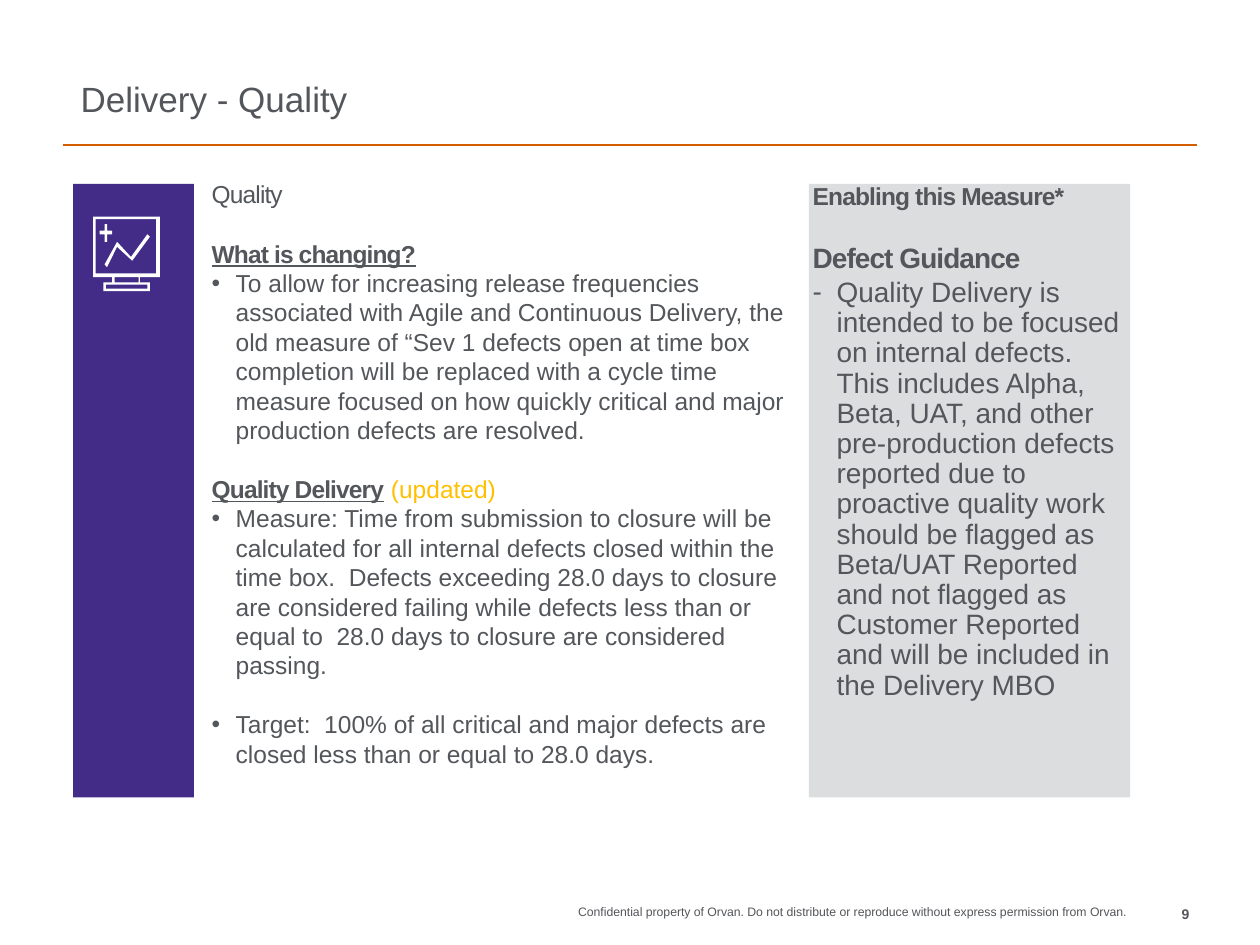
from dataclasses import dataclass
from typing import Any

from lxml import etree
from pptx import Presentation
from pptx.dml import color
from pptx.enum import shapes, text
from pptx.oxml import ns
from pptx.util import Inches, Pt

COLORS = {"text": "53565A", "rule": "D45D00", "purple": "422C88",
          "panel": "DCDDDF", "updated": "FFC000", "white": "FFFFFF"}
FONT = "Arial"
HANG = 0.19
Point = tuple[int, int]


@dataclass(frozen=True)
class Run:
    text: str
    size: float = 14
    bold: bool = False
    underline: bool = False
    color: str = "text"
    tracking: float = 0


@dataclass(frozen=True)
class Para:
    runs: tuple[Run, ...]
    bullet: str = ""
    before: float = 0
    after: float = 0
    spacing: float = 1.0


def rgb(name: str) -> color.RGBColor:
    return color.RGBColor.from_string(COLORS[name])


def paint(sp: Any, fill: str) -> Any:
    sp.shadow.inherit = False
    sp.fill.solid()
    sp.fill.fore_color.rgb = rgb(fill)
    sp.line.fill.background()
    return sp


def add_rect(s: Any, x: float, y: float, w: float, h: float, fill: str) -> Any:
    sp = s.shapes.add_shape(shapes.MSO_SHAPE.RECTANGLE, Inches(x), Inches(y), Inches(w), Inches(h))
    return paint(sp, fill)


def add_box(s: Any, x: float, y: float, w: float, h: float) -> Any:
    return s.shapes.add_textbox(Inches(x), Inches(y), Inches(w), Inches(h))


def add_outline(s: Any, *contours: list[Point]) -> None:
    fb = s.shapes.build_freeform(*contours[0][0], scale=Inches(0.01))
    fb.add_line_segments(contours[0][1:], close=True)
    for contour in contours[1:]:
        fb.move_to(*contour[0])
        fb.add_line_segments(contour[1:], close=True)
    paint(fb.convert_to_shape(), "white")


def corners(x1: int, y1: int, x2: int, y2: int) -> list[Point]:
    return [(x1, y1), (x1, y2), (x2, y2), (x2, y1)]


def add_bullet(p: Any, char: str) -> None:
    pPr = p._p.get_or_add_pPr()
    pPr.set("marL", str(Inches(HANG)))
    pPr.set("indent", str(-Inches(HANG)))
    font = etree.SubElement(pPr, ns.qn("a:buFont"))
    font.set("typeface", FONT)
    etree.SubElement(pPr, ns.qn("a:buChar")).set("char", char)


def write(sp: Any, paras: list[Para], *, insets: tuple[float, float, float, float] = (0, 0, 0, 0),
          align: Any = text.PP_ALIGN.LEFT, anchor: Any = text.MSO_ANCHOR.TOP) -> None:
    tf = sp.text_frame
    tf.word_wrap = True
    tf.vertical_anchor = anchor
    tf.margin_left, tf.margin_top, tf.margin_right, tf.margin_bottom = map(Inches, insets)
    for i, para in enumerate(paras):
        p = tf.add_paragraph() if i else tf.paragraphs[0]
        if para.bullet:
            add_bullet(p, para.bullet)
        p.alignment = align
        p.line_spacing = para.spacing
        p.space_before = Pt(para.before)
        p.space_after = Pt(para.after)
        for run in para.runs:
            r = p.add_run()
            r.text = run.text
            r.font.name = FONT
            r.font.size = Pt(run.size)
            r.font.bold = run.bold
            r.font.underline = run.underline
            r.font.color.rgb = rgb(run.color)
            if run.tracking:
                r._r.get_or_add_rPr().set("spc", str(round(run.tracking * 100)))


def add_rule(s: Any, x1: float, x2: float, y: float) -> None:
    line = s.shapes.add_connector(
        shapes.MSO_CONNECTOR.STRAIGHT, Inches(x1), Inches(y), Inches(x2), Inches(y))
    line.line.color.rgb = rgb("rule")
    line.line.width = Pt(1)
    etree.SubElement(line._element.spPr, ns.qn("a:effectLst"))


def add_icon(s: Any) -> None:
    add_outline(s, [(85, 212), (83, 210), (93, 192), (104, 204), (117, 186),
                    (119, 188), (105, 207), (93, 196)])
    add_outline(s, [(85, 192), (83, 192), (83, 186), (79, 186), (79, 183), (83, 183),
                    (83, 178), (85, 178), (85, 183), (89, 183), (89, 186), (85, 186)])
    monitor = [(119, 231), (82, 231), (82, 224), (89, 224), (89, 220), (74, 220),
               (74, 172), (127, 172), (127, 220), (111, 220), (111, 224), (119, 224)]
    add_outline(s, monitor, corners(84, 226, 117, 229), corners(91, 220, 110, 224),
                corners(76, 174, 124, 217))


def heading(label: str) -> Run:
    return Run(label, bold=True, underline=True, tracking=-0.5)


def main() -> None:
    """Build the delivery quality slide."""
    prs = Presentation()
    prs.slide_width, prs.slide_height = Inches(10), Inches(7.5)
    s = prs.slides.add_slide(prs.slide_layouts[6])

    add_rule(s, 0.5, 9.5, 1.15)
    notice = ("Confidential property of Orvan. Do not distribute or reproduce "
              "without express permission from Orvan.")
    write(add_box(s, 3.62, 7.18, 5.32, 0.23), [Para((Run(notice, 7),))], align=text.PP_ALIGN.RIGHT)
    write(add_box(s, 8.94, 7.19, 0.5, 0.23), [Para((Run("9", 8, bold=True),))],
          align=text.PP_ALIGN.RIGHT)
    write(add_box(s, 0.51, 0.34, 9.18, 0.68), [Para((Run("Delivery - Quality", 20),), spacing=0.9)],
          insets=(0.13, 0.07, 0.13, 0.07), anchor=text.MSO_ANCHOR.BOTTOM)

    add_rect(s, 0.58, 1.46, 0.96, 4.87, "purple")
    add_icon(s)

    guidance = (
        "Quality Delivery is intended to be focused on internal defects.  This includes Alpha, "
        "Beta, UAT, and other pre-production defects reported due to proactive quality work "
        "should be flagged as Beta/UAT Reported and not flagged as Customer Reported and will "
        "be included in the Delivery MBO")
    write(add_rect(s, 6.42, 1.46, 2.55, 4.87, "panel"), [
        Para((Run("Enabling this Measure*", bold=True, tracking=-0.5),), after=2, spacing=0.9),
        Para((Run("Defect Guidance", 16, bold=True, tracking=-0.5),), before=17.5, after=2,
             spacing=0.9),
        Para((Run(guidance, 16),), bullet="-", after=2, spacing=0.9),
    ], insets=(0.03, 0, 0.03, 0))

    change = (
        "To allow for increasing release frequencies associated with Agile and Continuous "
        "Delivery, the old measure of “Sev 1 defects open at time box completion will be "
        "replaced with a cycle time measure focused on how quickly critical and major "
        "production defects are resolved.")
    measure = (
        "Measure: Time from submission to closure will be calculated for all internal defects "
        "closed within the time box.  Defects exceeding 28.0 days to closure are considered "
        "failing while defects less than or equal to  28.0 days to closure are considered passing.")
    target = ("Target:  100% of all critical and major defects are closed less than or "
              "equal to 28.0 days.")
    gap = 16.8
    write(add_box(s, 1.54, 1.45, 4.88, 4.89), [
        Para((Run("Quality", tracking=-0.5),), spacing=0.9),
        Para((heading("What is changing?"),), before=gap),
        Para((Run(change),), bullet="•"),
        Para((heading("Quality Delivery"), Run(" ", bold=True, tracking=-0.5),
              Run("(updated)", color="updated")), before=gap),
        Para((Run(measure),), bullet="•"),
        Para((Run(target),), bullet="•", before=gap),
    ], insets=(0.14, 0, 0.1, 0))

    prs.save("out.pptx")


if __name__ == "__main__":
    main()
